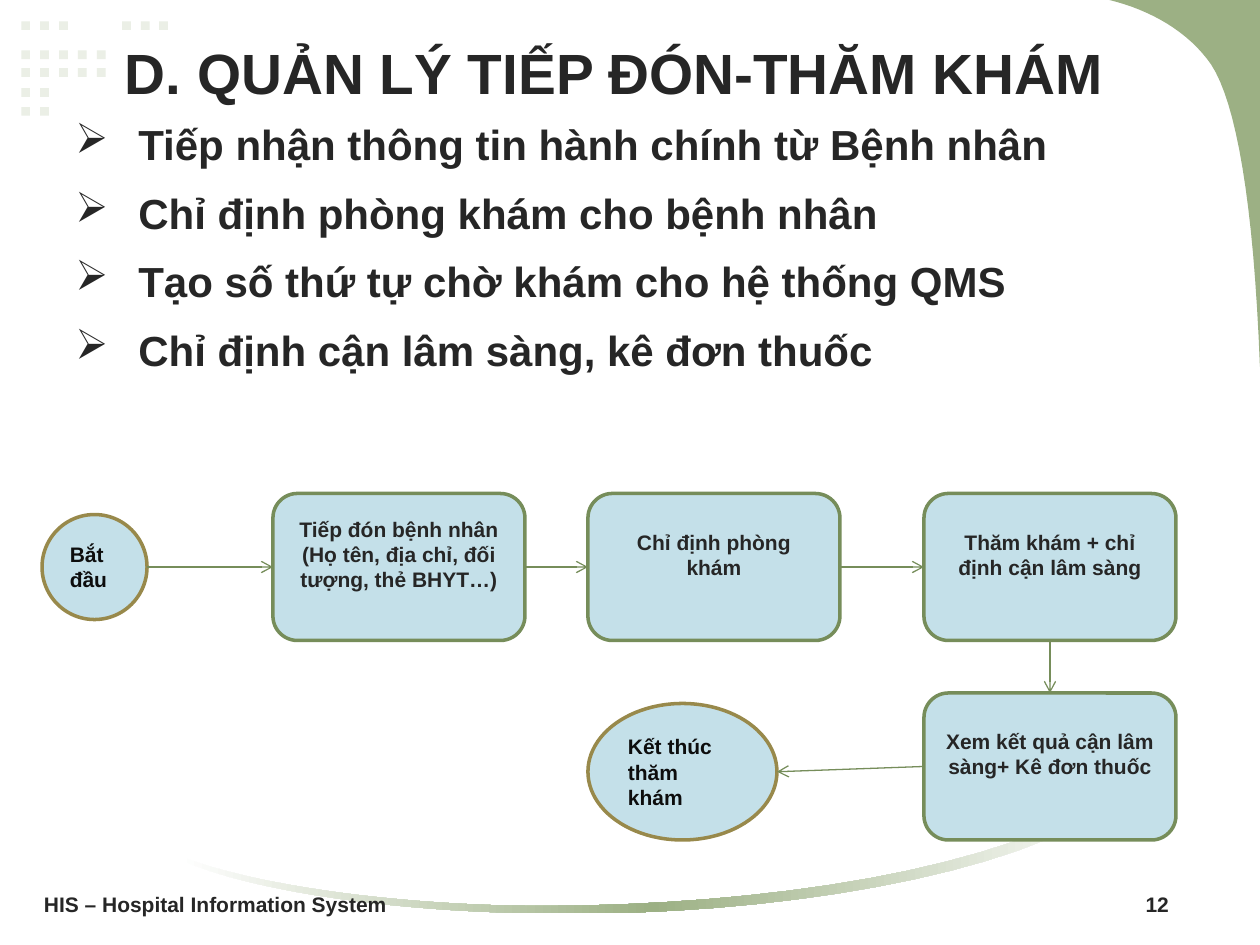
from copy import deepcopy

from lxml import etree
from pptx import Presentation
from pptx import util as u
from pptx.dml.color import RGBColor
from pptx.enum import shapes, text
from pptx.oxml.ns import qn

COLORS = {
    "ink": "262626", "black": "0D0D0D", "white": "FFFFFF", "dot": "EBEFE6",
    "leaf": "9CB084", "green": "768D5A", "gold": "98894B", "sky": "C4E0E9",
}
LEFT, CENTER, RIGHT = text.PP_ALIGN.LEFT, text.PP_ALIGN.CENTER, text.PP_ALIGN.RIGHT
TOP, MIDDLE = text.MSO_ANCHOR.TOP, text.MSO_ANCHOR.MIDDLE
KIND = shapes.MSO_SHAPE


def color(name):
    return RGBColor.from_string(COLORS[name])


def apply(target, formats):
    for name, value in formats.items():
        setattr(target, name, value)


def curve(start, *segments, steps=16):
    """Sample joined cubic Bézier segments, each (control, control, end)."""
    points = [start]
    for first, second, end in segments:
        for step in range(1, steps + 1):
            t = step / steps
            weights = ((1 - t) ** 3, 3 * t * (1 - t) ** 2, 3 * t * t * (1 - t), t ** 3)
            points.append(tuple(
                sum(w * p[axis] for w, p in zip(weights, (start, first, second, end)))
                for axis in (0, 1)))
        start = end
    return points


class SlideBuilder:
    font = {"name": "Arial", "bold": True}

    def __init__(self, slide):
        self.shapes = slide.shapes

    def fill_text(self, box, lines, size=12, ink="ink", align=LEFT, anchor=MIDDLE,
                  bottom=3.6, paragraph=None):
        frame = box.text_frame
        apply(frame, {"word_wrap": True, "vertical_anchor": anchor,
                      "margin_bottom": u.Pt(bottom)})
        for index, line in enumerate(lines):
            para = frame.add_paragraph() if index else frame.paragraphs[0]
            apply(para, {"alignment": align, **(paragraph or {})})
            span = para.add_run()
            span.text = line
            apply(span.font, {**self.font, "size": u.Pt(size)})
            span.font.color.rgb = color(ink)
        return box

    def label(self, area, lines, **formats):
        return self.fill_text(self.shapes.add_textbox(*map(u.Pt, area)), lines, **formats)

    def bullets(self, area, lines, **formats):
        box = self.label(area, lines, **formats)
        for para in box.text_frame.paragraphs:
            props = para._p.get_or_add_pPr()
            props.set("marL", str(u.Pt(36)))
            props.set("indent", str(u.Pt(-36)))
            etree.SubElement(props, qn("a:buChar")).set("char", "➢")

    def paint(self, shape, fill, line=None):
        shape.shadow.inherit = False
        shape.fill.solid()
        shape.fill.fore_color.rgb = color(fill)
        if line:
            shape.line.color.rgb = color(line)
            shape.line.width = u.Pt(2)
        else:
            shape.line.fill.background()
        return shape

    def shape(self, kind, area, fill, line=None):
        return self.paint(self.shapes.add_shape(kind, *map(u.Pt, area)), fill, line)

    def outline(self, points, fill):
        corners = [(u.Pt(x), u.Pt(y)) for x, y in points]
        builder = self.shapes.build_freeform(*corners[0], scale=1.0)
        builder.add_line_segments(corners[1:], close=True)
        return self.paint(builder.convert_to_shape(), fill)

    def fade(self, shape, names):
        shape.fill.gradient()
        shape.fill.gradient_angle = 0
        stop_list = shape._element.spPr.find(qn("a:gradFill")).find(qn("a:gsLst"))
        while len(stop_list) < len(names):
            stop_list.append(deepcopy(stop_list[0]))
        for index, (stop, name) in enumerate(zip(shape.fill.gradient_stops, names)):
            stop.position = index / (len(names) - 1)
            stop.color.rgb = color(name)

    def step(self, area, lines):
        box = self.shape(KIND.ROUNDED_RECTANGLE, area, "sky", "green")
        self.fill_text(box, lines, align=CENTER, bottom=18)

    def terminal(self, area, line):
        self.fill_text(self.shape(KIND.OVAL, area, "sky", "gold"), [line], ink="black")

    def arrow(self, *ends):
        link = self.shapes.add_connector(shapes.MSO_CONNECTOR.STRAIGHT, *map(u.Pt, ends))
        link.line.color.rgb = color("green")
        link.line.width = u.Pt(0.75)
        props = link._element.spPr
        etree.SubElement(props.find(qn("a:ln")), qn("a:tailEnd")).set("type", "arrow")
        etree.SubElement(props, qn("a:effectLst"))


def main():
    deck = Presentation()
    apply(deck, {"slide_width": u.Pt(720), "slide_height": u.Pt(540)})
    page = SlideBuilder(deck.slides.add_slide(deck.slide_layouts[6]))

    # Dot pattern in the top left corner
    columns = [12.2 + 10.8 * i for i in range(5)]
    dot_rows = {12.2: columns[:3] + [69.8, 80.5, 91], 28.8: columns, 39: columns,
                50.4: columns[:2], 61.2: columns[:2]}
    for y, row in dot_rows.items():
        for x in row:
            page.shape(KIND.RECTANGLE, (x, y, 5, 5), "dot")

    # Green corner and bottom swoosh
    corner = curve((634, 0), ((657.5, 5.8), (679, 18), (692, 36.7)),
                   ((706.3, 58.3), (716.4, 115), (720, 209.5)))
    page.outline(corner + [(720, 0)], "leaf")
    lower = curve((642.2, 455), ((583.2, 502.5), (432, 523.4), (319, 522)),
                  ((230.4, 522), (144, 509.8), (102.2, 491)))
    upper = curve((102.2, 488.9), ((144, 506.2), (230.4, 517.7), (309.6, 517.7)),
                  ((432, 517.7), (576, 498.2), (642.2, 450)))
    page.fade(page.outline(lower + upper, "leaf"), ["white", "leaf", "white"])

    # Title and bullets
    page.label((36, 18, 630, 48), ["D. QUẢN LÝ TIẾP ĐÓN-THĂM KHÁM"],
               size=32.4, align=CENTER, anchor=TOP)
    page.bullets((36, 60, 612, 162), [
        "Tiếp nhận thông tin hành chính từ Bệnh nhân",
        "Chỉ định phòng khám cho bệnh nhân",
        "Tạo số thứ tự chờ khám cho hệ thống QMS",
        "Chỉ định cận lâm sàng, kê đơn thuốc",
    ], size=24, anchor=TOP, paragraph={"line_spacing": 1.15, "space_before": u.Pt(6)})

    # Flow chart: steps, terminals, arrows
    width, height, top, middle = 144, 84, 282, 324
    reception, room, exam = 156, 336, 528
    page.step((reception, top, width, height),
              ["Tiếp đón bệnh nhân", "(Họ tên, địa chỉ, đối tượng, thẻ BHYT…)"])
    page.step((room, top, width, height), ["Chỉ định phòng khám"])
    page.step((exam, top, width, height), ["Thăm khám + chỉ định cận lâm sàng"])
    page.step((exam, 396, width, height), ["Xem kết quả cận lâm sàng+ Kê đơn thuốc"])
    page.terminal((24, 294, 60, 60), "Bắt đầu")
    page.terminal((room, 402, 108, 78), "Kết thúc thăm khám")
    for start, end in ((84, reception), (reception + width, room), (room + width, exam)):
        page.arrow(start, middle, end, middle)
    page.arrow(exam + width / 2, top + height, exam + width / 2, 396)
    page.arrow(exam, 438, room + 108, 441)

    # Footer
    page.label((18, 504, 400, 25), ["HIS – Hospital Information System"])
    page.label((610, 504, 65, 25), ["12"], align=RIGHT)

    deck.save("out.pptx")


if __name__ == "__main__":
    main()
